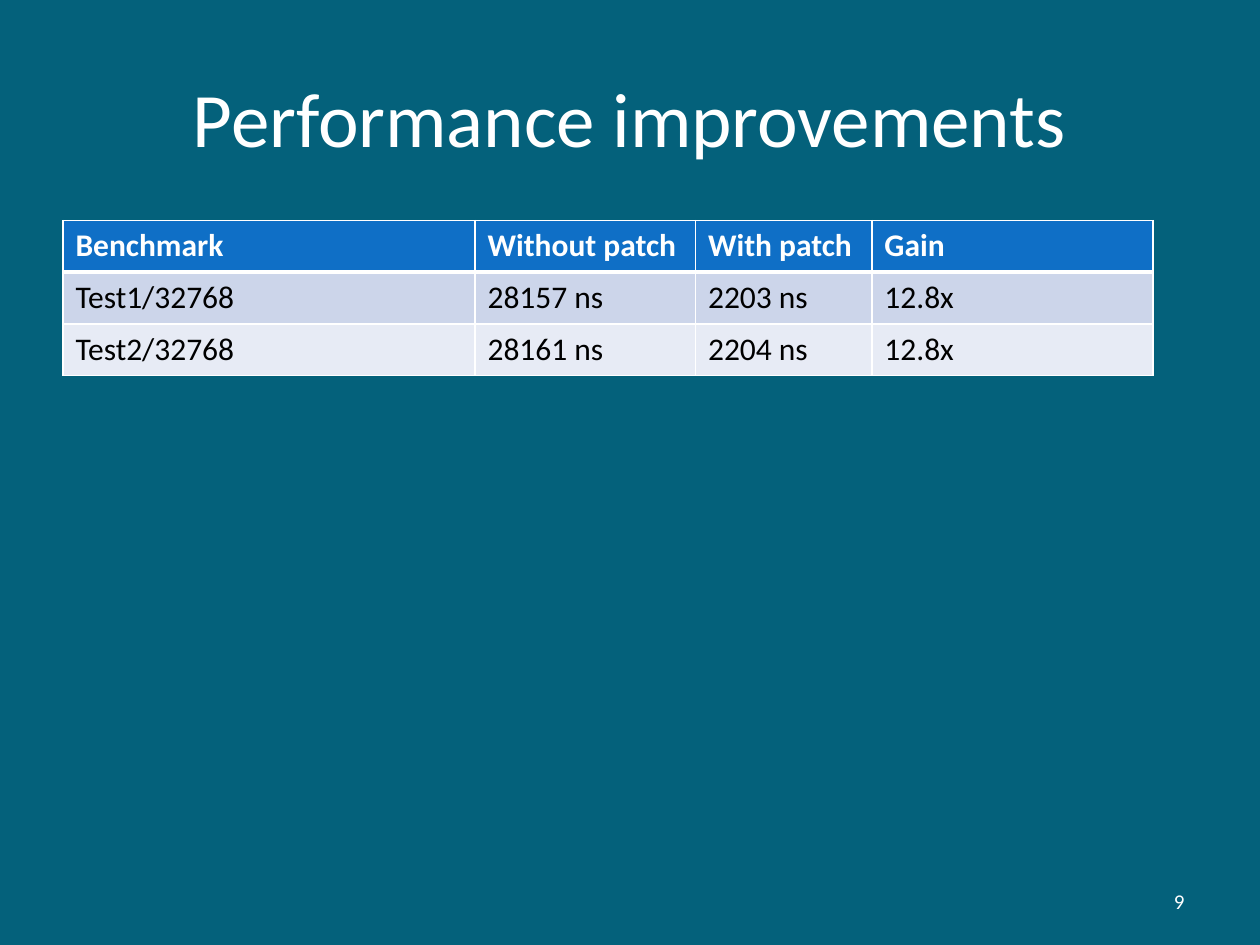
from dataclasses import dataclass

from lxml.etree import SubElement
from pptx import Presentation
from pptx.dml.color import RGBColor
from pptx.enum.text import MSO_ANCHOR, PP_ALIGN
from pptx.oxml.ns import qn
from pptx.util import Inches, Pt

FONT = "Calibri"
TEAL = RGBColor(0x04, 0x61, 0x7B)
BLUE = RGBColor(0x0F, 0x6F, 0xC6)
BAND_DARK = RGBColor(0xCC, 0xD5, 0xEA)
BAND_LIGHT = RGBColor(0xE7, 0xEB, 0xF5)
WHITE = RGBColor(0xFF, 0xFF, 0xFF)
BLACK = RGBColor(0, 0, 0)


@dataclass
class Label:
    text: str
    left: float
    top: float
    width: float
    height: float
    size: int
    align: PP_ALIGN


@dataclass
class Row:
    texts: list[str]
    fill: RGBColor
    color: RGBColor = BLACK
    bold: bool = False
    top_line: int = 1
    bottom_line: int = 1


LABELS = [
    Label("Performance improvements", 0.5, 0.3, 9, 1.25, 44, PP_ALIGN.CENTER),
    Label("9", 7.17, 6.95, 2.33, 0.4, 12, PP_ALIGN.RIGHT),
]
COLUMN_WIDTHS = [3.27, 1.75, 1.4, 2.23]
ROW_HEIGHT = 0.41
ROWS = [
    Row(["Benchmark", "Without patch", "With patch", "Gain"], BLUE, WHITE,
        bold=True, bottom_line=3),
    Row(["Test1/32768", "28157 ns", "2203 ns", "12.8x"], BAND_DARK, top_line=3),
    Row(["Test2/32768", "28161 ns", "2204 ns", "12.8x"], BAND_LIGHT),
]


def style(p, size: int, color: RGBColor, bold: bool = False) -> None:
    p.font.name = FONT
    p.font.size = Pt(size)
    p.font.color.rgb = color
    p.font.bold = bold


def add_label(s, label: Label) -> None:
    sp = s.shapes.add_textbox(Inches(label.left), Inches(label.top),
                              Inches(label.width), Inches(label.height))
    tf = sp.text_frame
    tf.word_wrap = True
    tf.vertical_anchor = MSO_ANCHOR.MIDDLE
    p = tf.paragraphs[0]
    p.text = label.text
    p.alignment = label.align
    style(p, label.size, WHITE)


def set_borders(cell, top: int, bottom: int) -> None:
    tc_pr = cell._tc.get_or_add_tcPr()
    sides = {"lnL": 1, "lnR": 1, "lnT": top, "lnB": bottom}
    for side, width in sides.items():
        ln = SubElement(tc_pr, qn(f"a:{side}"), w=str(Pt(width)))
        fill = SubElement(ln, qn("a:solidFill"))
        SubElement(fill, qn("a:srgbClr"), val=str(WHITE))


def add_results(s, left: float, top: float, rows: list[Row]) -> None:
    table = s.shapes.add_table(
        len(rows), len(COLUMN_WIDTHS), Inches(left), Inches(top),
        Inches(sum(COLUMN_WIDTHS)), Inches(ROW_HEIGHT * len(rows))).table
    for column, width in zip(table.columns, COLUMN_WIDTHS):
        column.width = Inches(width)
    for table_row, row in zip(table.rows, rows):
        table_row.height = Inches(ROW_HEIGHT)
        for cell, text in zip(table_row.cells, row.texts):
            # Borders come before the fill in the cell properties
            set_borders(cell, row.top_line, row.bottom_line)
            cell.fill.solid()
            cell.fill.fore_color.rgb = row.fill
            p = cell.text_frame.paragraphs[0]
            p.text = text
            style(p, 18, row.color, row.bold)


def main() -> None:
    prs = Presentation()
    prs.slide_width, prs.slide_height = Inches(10), Inches(7.5)
    s = prs.slides.add_slide(prs.slide_layouts[6])
    s.background.fill.solid()
    s.background.fill.fore_color.rgb = TEAL

    # Title and page number
    for label in LABELS:
        add_label(s, label)

    # Benchmark results
    add_results(s, 0.5, 1.75, ROWS)

    prs.save("out.pptx")


if __name__ == "__main__":
    main()
